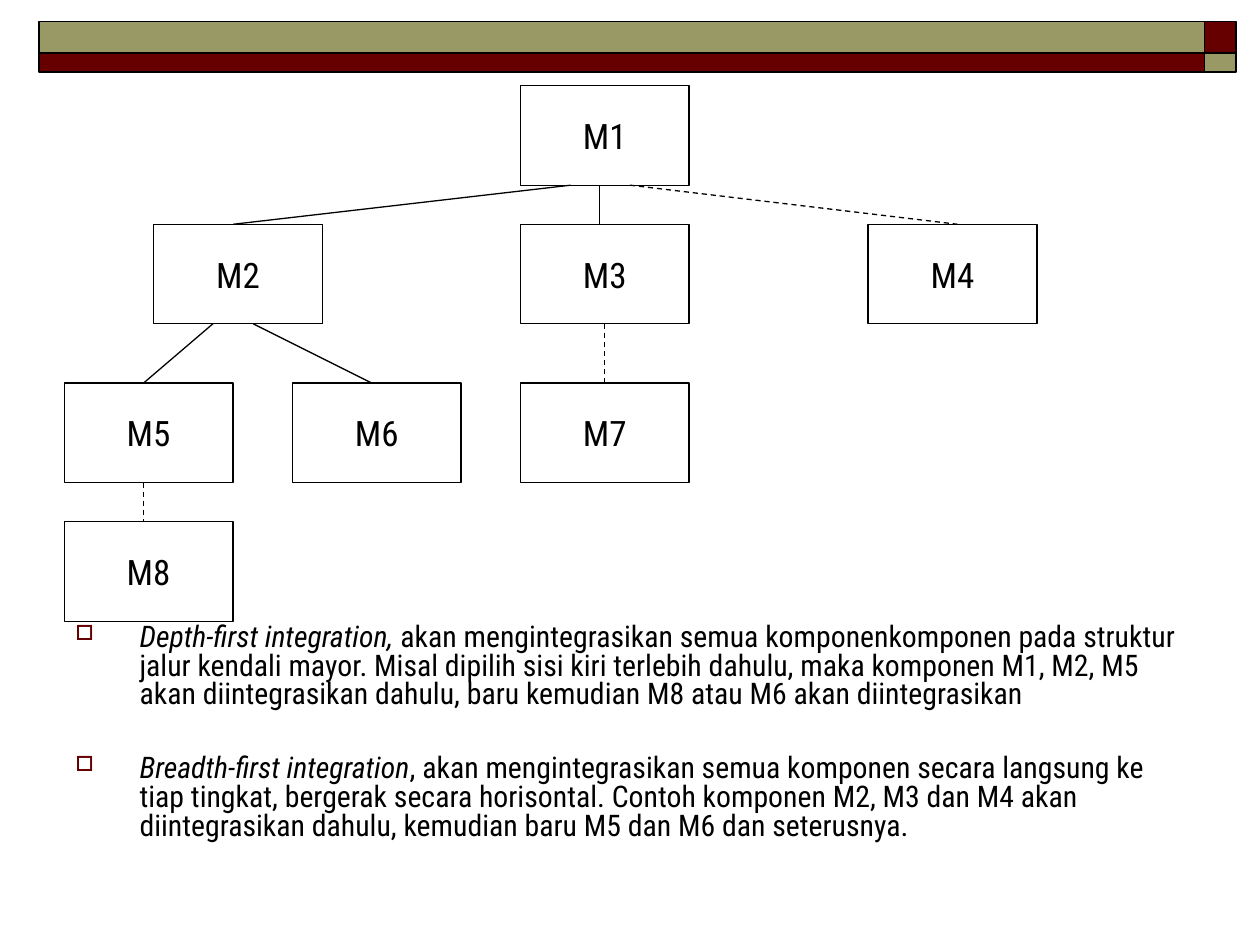
from lxml import etree
from pptx import Presentation
from pptx.dml.color import RGBColor
from pptx.enum.dml import MSO_LINE
from pptx.enum.shapes import MSO_CONNECTOR, MSO_SHAPE
from pptx.enum.text import MSO_ANCHOR, PP_ALIGN
from pptx.oxml.ns import qn
from pptx.util import Inches, Pt

COLORS = {"olive": "999966", "maroon": "660000", "white": "FFFFFF", "black": "000000"}
FONT = "Roboto Condensed"
BOX_W, BOX_H = 1.34, 0.79


def color(name):
    return RGBColor.from_string(COLORS[name])


class Deck:
    def __init__(self, slide):
        self.s = slide

    def style(self, font, size):
        font.name, font.size = FONT, Pt(size)
        font.color.rgb = color("black")

    def rect(self, x, y, w, h, fill, line_width):
        sp = self.s.shapes.add_shape(
            MSO_SHAPE.RECTANGLE, Inches(x), Inches(y), Inches(w), Inches(h))
        sp.shadow.inherit = False
        sp.fill.solid()
        sp.fill.fore_color.rgb = color(fill)
        sp.line.color.rgb = color("black")
        sp.line.width = Pt(line_width)
        return sp

    def module(self, name, x, y):
        sp = self.rect(x, y, BOX_W, BOX_H, "white", 0.75)
        tf = sp.text_frame
        tf.text = name
        tf.word_wrap = False
        tf.vertical_anchor = MSO_ANCHOR.MIDDLE
        p = tf.paragraphs[0]
        p.alignment = PP_ALIGN.CENTER
        self.style(p.runs[0].font, 20)

    def link(self, x1, y1, x2, y2, dashed):
        cn = self.s.shapes.add_connector(
            MSO_CONNECTOR.STRAIGHT, Inches(x1), Inches(y1), Inches(x2), Inches(y2))
        cn.line.color.rgb = color("black")
        cn.line.width = Pt(0.75)
        if dashed:
            cn.line.dash_style = MSO_LINE.DASH
        etree.SubElement(cn._element.spPr, qn("a:effectLst"))

    def bullet(self, p):
        pPr = p._p.get_or_add_pPr()
        pPr.set("marL", str(Inches(0.51)))
        pPr.set("indent", str(-Inches(0.51)))
        clr = etree.SubElement(pPr, qn("a:buClr"))
        etree.SubElement(clr, qn("a:srgbClr"), val=COLORS["maroon"])
        etree.SubElement(pPr, qn("a:buSzPct"), val="70000")
        etree.SubElement(pPr, qn("a:buChar"), char="□")

    def bullets(self, x, y, w, h, items, gap):
        tf = self.s.shapes.add_textbox(
            Inches(x), Inches(y), Inches(w), Inches(h)).text_frame
        tf.word_wrap = True
        for i, (term, text) in enumerate(items):
            p = tf.add_paragraph() if i else tf.paragraphs[0]
            self.bullet(p)
            p.line_spacing = 0.8
            p.space_before = Pt(gap if i else 0)
            for part, italic in ((term, True), (text, False)):
                r = p.add_run()
                r.text = part
                self.style(r.font, 17)
                r.font.italic = italic


def main():
    prs = Presentation()
    prs.slide_width, prs.slide_height = Inches(10), Inches(7.5)
    deck = Deck(prs.slides.add_slide(prs.slide_layouts[6]))

    # Header band: two rows with swapped colours
    for y, h, left, right in ((0.17, 0.25, "olive", "maroon"),
                              (0.42, 0.15, "maroon", "olive")):
        deck.rect(0.31, y, 9.25, h, left, 1)
        deck.rect(9.56, y, 0.25, h, right, 1)

    # Module tree
    modules = {
        "M1": (4.13, 0.68),
        "M2": (1.22, 1.78), "M3": (4.13, 1.78), "M4": (6.89, 1.78),
        "M5": (0.51, 3.04), "M6": (2.32, 3.04), "M7": (4.13, 3.04),
        "M8": (0.51, 4.14),
    }
    for name, (x, y) in modules.items():
        deck.module(name, x, y)

    # Links: parent, child, x at the parent, x at the child, dashed
    links = [
        ("M1", "M2", 4.53, 1.85, False),
        ("M1", "M3", 4.76, 4.76, False),
        ("M1", "M4", 5.0, 7.6, True),
        ("M2", "M5", 1.69, 1.14, False),
        ("M2", "M6", 2.01, 2.95, False),
        ("M3", "M7", 4.8, 4.8, True),
        ("M5", "M8", 1.14, 1.14, True),
    ]
    for parent, child, x1, x2, dashed in links:
        deck.link(x1, modules[parent][1] + BOX_H, x2, modules[child][1], dashed)

    # Explanation
    deck.bullets(0.5, 4.91, 9, 2.38, [
        ("Depth-first integration, ",
         "akan mengintegrasikan semua komponenkomponen pada struktur jalur kendali "
         "mayor. Misal dipilih sisi kiri terlebih dahulu, maka komponen M1, M2, M5 "
         "akan diintegrasikan dahulu, baru kemudian M8 atau M6 akan diintegrasikan"),
        ("Breadth-first integration",
         ", akan mengintegrasikan semua komponen secara langsung ke tiap tingkat, "
         "bergerak secara horisontal. Contoh komponen M2, M3 dan M4 akan "
         "diintegrasikan dahulu, kemudian baru M5 dan M6 dan seterusnya."),
    ], gap=26)

    prs.save("out.pptx")


if __name__ == "__main__":
    main()
